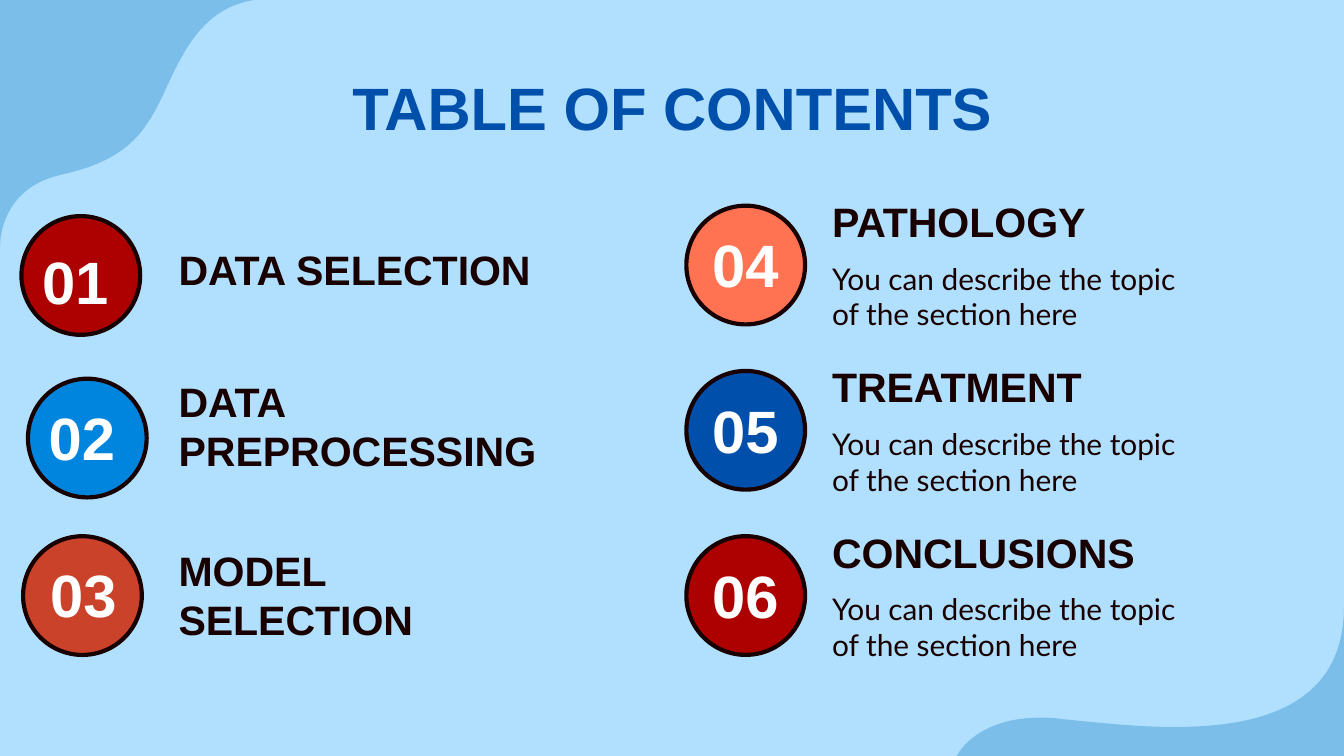
from lxml.etree import Element
from pptx import Presentation
from pptx.dml.color import RGBColor
from pptx.enum.shapes import MSO_SHAPE as SHAPE
from pptx.enum.text import MSO_ANCHOR as ANCHOR, PP_ALIGN as ALIGN
from pptx.oxml.ns import qn
from pptx.util import Pt

SKY = RGBColor(0xB1, 0xE0, 0xFF)
WAVE = RGBColor(0x7C, 0xBE, 0xEA)
INK = RGBColor(0x18, 0x00, 0x00)
WHITE = RGBColor(0xFF, 0xFF, 0xFF)
NAVY = RGBColor(0x00, 0x4F, 0xAB)
BLUE = RGBColor(0x00, 0x85, 0xDE)
RED = RGBColor(0xAD, 0x01, 0x01)
BRICK = RGBColor(0xCA, 0x42, 0x29)
CORAL = RGBColor(0xFF, 0x73, 0x52)

WIDTH, HEIGHT = 720, 405
BADGE = 63.6
NUMBER_W, NUMBER_H = 60.5, 41.8
HEADING_H = 29.5
TOPIC = "You can describe the topic of the section here"

TOP_WAVE = [
    ((0, 124), (3.6, 100), (33.1, 93.6)),
    ((67.7, 85.7), (77.8, 72), (88.6, 48.2)),
    ((99.4, 24.5), (110.2, 4.3), (136.1, 0)),
]
BOTTOM_WAVE = [
    ((720, 378.7), (673.9, 389.5), (629.3, 389.5)),
    ((606.2, 389.5), (583.9, 386.6), (568.1, 385.2)),
    ((564.5, 384.5), (560.9, 384.5), (557.3, 384.5)),
    ((521.3, 384.5), (511.9, 406), (511.9, 406)),
]


def add_wave(s, corner, start, segments):
    builder = s.shapes.build_freeform(Pt(corner[0]), Pt(corner[1]))
    points = [start] + [end for _, _, end in segments]
    builder.add_line_segments([(Pt(x), Pt(y)) for x, y in points], close=True)
    sp = builder.convert_to_shape()
    lines = list(sp.element.iter(qn("a:lnTo")))[1:]
    for line, (c1, c2, _) in zip(lines, segments):
        line.tag = qn("a:cubicBezTo")
        for i, (x, y) in enumerate((c1, c2)):
            line.insert(i, Element(qn("a:pt"), x=str(Pt(x) - sp.left),
                                   y=str(Pt(y) - sp.top)))
    sp.shadow.inherit = False
    sp.fill.solid()
    sp.fill.fore_color.rgb = WAVE
    sp.line.fill.background()


def set_text(sp, text, size, color, font="Arial", bold=True,
             align=ALIGN.LEFT, anchor=ANCHOR.MIDDLE, top=7.2):
    tf = sp.text_frame
    tf.word_wrap = True
    tf.vertical_anchor = anchor
    tf.margin_left = tf.margin_right = tf.margin_bottom = Pt(7.2)
    tf.margin_top = Pt(top)
    tf.text = text
    p = tf.paragraphs[0]
    p.alignment = align
    p.font.name = font
    p.font.size = Pt(size)
    p.font.bold = bold
    p.font.color.rgb = color


def add_text(s, box, text, size, color, **style):
    sp = s.shapes.add_textbox(*map(Pt, box))
    set_text(sp, text, size, color, **style)


def add_title(s, box, text):
    sp = s.shapes.title
    sp.left, sp.top, sp.width, sp.height = map(Pt, box)
    set_text(sp, text, 32, NAVY, align=ALIGN.CENTER, anchor=ANCHOR.TOP)


def add_badge(s, box, number, color, dx=1.4, dy=11):
    x, y, w, h = box
    sp = s.shapes.add_shape(SHAPE.OVAL, *map(Pt, box))
    sp.shadow.inherit = False
    sp.fill.solid()
    sp.fill.fore_color.rgb = color
    sp.line.color.rgb = INK
    sp.line.width = Pt(2.25)
    add_text(s, (x + dx, y + dy, NUMBER_W, NUMBER_H), number, 32, WHITE,
             align=ALIGN.CENTER, top=5.8)


def add_heading(s, box, text):
    add_text(s, box, text, 22, INK)


def add_topic(s, box, number, color, heading):
    x, y, w, h = box
    add_badge(s, (x, y + 6.5, BADGE, BADGE), number, color)
    add_heading(s, (x + 71, y, 224, HEADING_H), heading)
    add_text(s, (x + 71, y + 27.6, 202.3, 54.7), TOPIC, 16, INK,
             font="Lato", bold=False)


def add_left_column(s, x):
    rows = [
        ("01", RED, "DATA SELECTION", 11.5, 115.8, -1.4, 14.5, 129.6, 224),
        ("02", BLUE, "DATA PREPROCESSING", 15, 202.9, -1.4, 10.9, 213.1, 266),
        ("03", BRICK, "MODEL SELECTION", 12.4, 287.3, 2, 10.5, 303.8, 222),
    ]
    for number, color, heading, bx, by, dx, dy, hy, width in rows:
        add_badge(s, (bx, by, BADGE, BADGE), number, color, dx, dy)
        add_heading(s, (x, hy, width, HEADING_H), heading)


def add_right_column(s, box):
    x, y, w, h = box
    rows = [("04", CORAL, "PATHOLOGY"), ("05", NAVY, "TREATMENT"),
            ("06", RED, "CONCLUSIONS")]
    pitch = h / len(rows)
    for i, row in enumerate(rows):
        add_topic(s, (x, y + i * pitch, w, pitch), *row)


def main():
    prs = Presentation()
    prs.slide_width, prs.slide_height = Pt(WIDTH), Pt(HEIGHT)
    s = prs.slides.add_slide(prs.slide_layouts[5])
    s.background.fill.solid()
    s.background.fill.fore_color.rgb = SKY
    add_wave(s, (0, 0), (0, 132.5), TOP_WAVE)
    add_wave(s, (WIDTH, 406), (WIDTH, 324.7), BOTTOM_WAVE)
    add_title(s, (56.7, 30.6, 607, 46.8), "TABLE OF CONTENTS")
    add_left_column(s, 88.6)
    add_right_column(s, (367.7, 103.7, 295, 265.6))
    prs.save("out.pptx")


if __name__ == "__main__":
    main()
